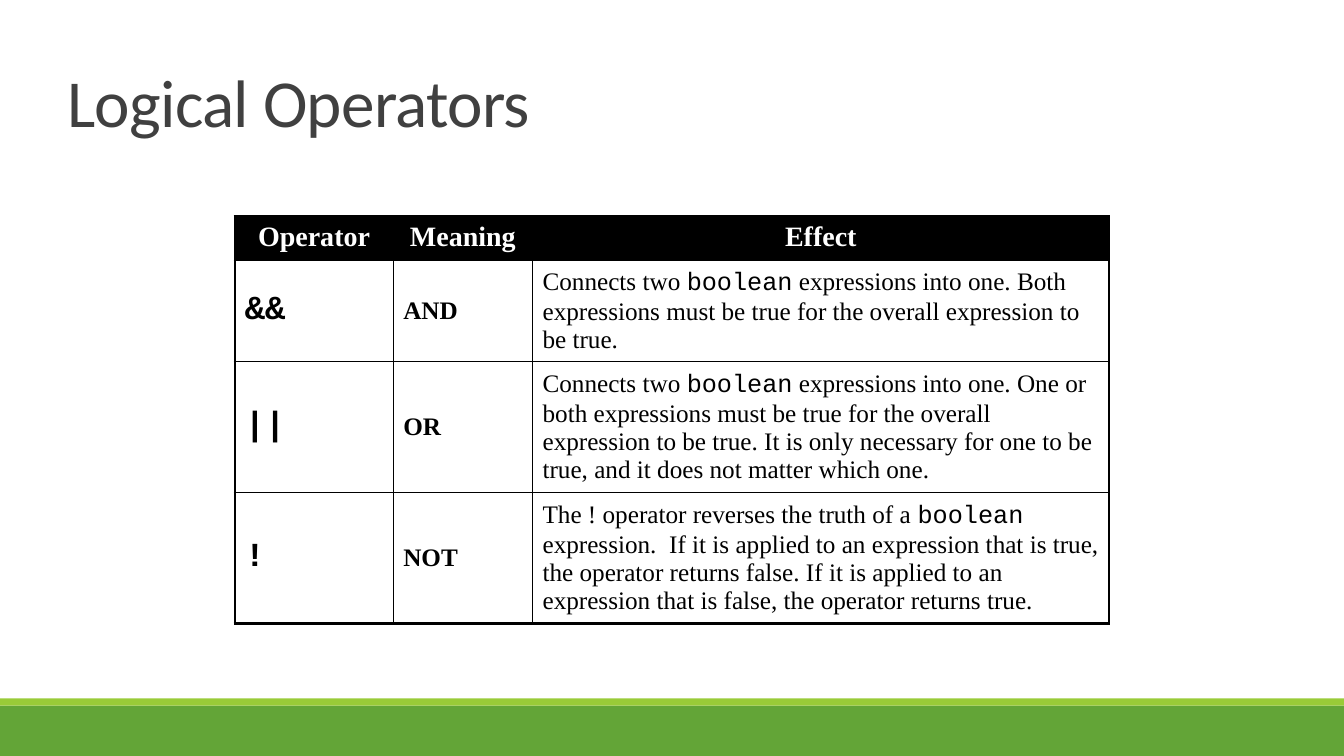
import pptx
import pptx.util
import pptx.dml.color
import pptx.enum.shapes
import pptx.enum.text
import pptx.oxml
import pptx.oxml.ns
from pptx.util import Cm

COLORS = {"dark": "63A537", "light": "99CB38", "title": "404040",
          "black": "000000", "white": "FFFFFF"}
SERIF, MONO = "Times New Roman", "Courier New"


def add_run(p, text, color, **formats):
    r = p.add_run()
    r.text = text
    r.font.color.rgb = pptx.dml.color.RGBColor.from_string(COLORS[color])
    for name, value in formats.items():
        setattr(r.font, name, value)
    return r


def fill_solid(obj, color):
    obj.fill.solid()
    obj.fill.fore_color.rgb = pptx.dml.color.RGBColor.from_string(COLORS[color])


prs = pptx.Presentation()
prs.slide_width, prs.slide_height = Cm(33.87), Cm(19.05)
s = prs.slides.add_slide(prs.slide_layouts[6])

# Footer bands
for color, top, height in [("dark", 17.78, 1.27), ("light", 17.6, 0.18)]:
    sp = s.shapes.add_shape(pptx.enum.shapes.MSO_SHAPE.RECTANGLE,
                            Cm(0), Cm(top), prs.slide_width, Cm(height))
    sp.shadow.inherit = False
    sp.line.fill.background()
    fill_solid(sp, color)

# Title
tf = s.shapes.add_textbox(Cm(1.45), Cm(0), Cm(29.21), Cm(3.68)).text_frame
tf.word_wrap = True
tf.vertical_anchor = pptx.enum.text.MSO_ANCHOR.BOTTOM
p = tf.paragraphs[0]
p.line_spacing = 0.85
r = add_run(p, "Logical Operators", "title", name="Calibri", size=pptx.util.Pt(48))
r.font._element.set("spc", "-50")

# Table content: operator, meaning, effect before and after the word "boolean"
headers = ["Operator", "Meaning", "Effect"]
operators = [
    ("&&", "AND", "Connects two ",
     " expressions into one. Both expressions must be true for the overall "
     "expression to be true."),
    ("||", "OR", "Connects two ",
     " expressions into one. One or both expressions must be true for the overall "
     "expression to be true. It is only necessary for one to be true, and it does "
     "not matter which one."),
    ("!", "NOT", "The ! operator reverses the truth of a ",
     " expression.  If it is applied to an expression that is true, the operator "
     "returns false. If it is applied to an expression that is false, the operator "
     "returns true."),
]
rows = [[[(h, SERIF, 20, True)] for h in headers]]
for symbol, meaning, before, after in operators:
    rows.append([[(symbol, MONO, 24, True)],
                 [(meaning, SERIF, 18, True)],
                 [(before, SERIF, 18, False), ("boolean", MONO, 18, False),
                  (after, SERIF, 18, False)]])

# Table grid
widths, heights = [3.99, 3.51, 14.53], [1.09, 2.54, 3.3, 3.3]
table = s.shapes.add_table(len(heights), len(widths), Cm(5.92), Cm(5.46),
                           Cm(sum(widths)), Cm(sum(heights))).table
for column, width in zip(table.columns, widths):
    column.width = Cm(width)
for row, height in zip(table.rows, heights):
    row.height = Cm(height)

# Cells
for i, row in enumerate(rows):
    for j, runs in enumerate(row):
        cell = table.cell(i, j)
        header = i == 0
        fill_solid(cell, "black" if header else "white")
        p = cell.text_frame.paragraphs[0]
        if header:
            p.alignment = pptx.enum.text.PP_ALIGN.CENTER
        else:
            cell.vertical_anchor = pptx.enum.text.MSO_ANCHOR.MIDDLE
        for text, font, size, bold in runs:
            add_run(p, text, "white" if header else "black",
                    name=font, size=pptx.util.Pt(size), bold=bold)

        # Borders: thick outside, thin inside
        outer = {"L": j == 0, "R": j == len(widths) - 1,
                 "T": i == 0, "B": i == len(heights) - 1}
        tcPr = cell._tc.get_or_add_tcPr()
        for n, (side, thick) in enumerate(outer.items()):
            tcPr.insert(n, pptx.oxml.parse_xml(
                f'<a:ln{side} {pptx.oxml.ns.nsdecls("a")} '
                f'w="{pptx.util.Pt(2.25 if thick else 1)}"><a:solidFill>'
                f'<a:srgbClr val="{COLORS["black"]}"/></a:solidFill></a:ln{side}>'))

prs.save("out.pptx")
